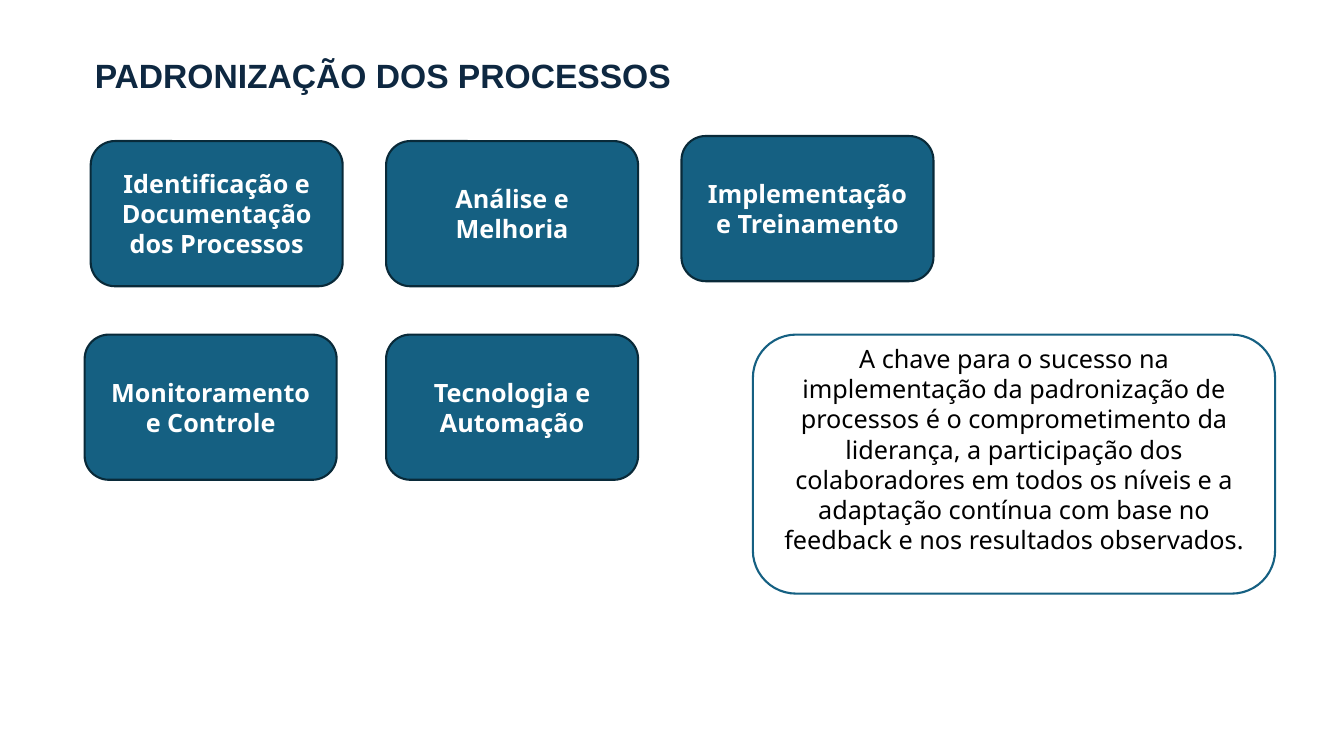
from dataclasses import dataclass

from pptx import Presentation
from pptx.dml.color import RGBColor
from pptx.enum.shapes import MSO_SHAPE
from pptx.enum.text import MSO_ANCHOR, MSO_AUTO_SIZE, PP_ALIGN
from pptx.shapes.autoshape import Shape
from pptx.slide import Slide
from pptx.util import Pt


@dataclass(frozen=True)
class Theme:
    blue: str = "156082"
    edge: str = "092A39"
    navy: str = "0E2841"
    white: str = "FFFFFF"
    black: str = "000000"
    title_font: str = "Arial"
    body_font: str = "Noto Sans"
    title_size: float = 24
    body_size: float = 18
    line_width: float = 1.5


@dataclass(frozen=True)
class Box:
    text: str
    left: float
    top: float
    width: float
    height: float
    fill: str
    line: str
    color: str
    bold: bool
    bottom_inset: float = 3.6


@dataclass(frozen=True)
class Step:
    """A process step on the grid, with its small shift from the grid."""
    text: str
    col: int
    row: int
    dx: float = 0
    dy: float = 0


THEME = Theme()
GRID_LEFT, GRID_TOP = 64.8, 100.8
COL_PITCH, ROW_PITCH = 211, 138.24
STEP_W, STEP_H = 180, 103.7

STEPS = [
    Step("Identificação e Documentação dos Processos", 0, 0),
    Step("Análise e Melhoria", 1, 0),
    Step("Implementação e Treinamento", 2, 0, dy=-3.6),
    Step("Monitoramento e Controle", 0, 1, dx=-4.3),
    Step("Tecnologia e Automação", 1, 1),
]

KEY_MESSAGE = Box(
    "A chave para o sucesso na implementação da padronização de processos é o "
    "comprometimento da liderança, a participação dos colaboradores em todos os "
    "níveis e a adaptação contínua com base no feedback e nos resultados observados.",
    537.8, GRID_TOP + ROW_PITCH, 373, 185,
    THEME.white, THEME.blue, THEME.black, False, bottom_inset=25.2,
)


def step_box(step: Step) -> Box:
    return Box(
        step.text,
        GRID_LEFT + step.col * COL_PITCH + step.dx,
        GRID_TOP + step.row * ROW_PITCH + step.dy,
        STEP_W, STEP_H, THEME.blue, THEME.edge, THEME.white, True,
    )


def set_text(s: Shape, text: str, align: PP_ALIGN, color: str, font: dict) -> None:
    p = s.text_frame.paragraphs[0]
    p.alignment = align
    r = p.add_run()
    r.text = text
    for name, value in font.items():
        setattr(r.font, name, value)
    r.font.color.rgb = RGBColor.from_string(color)


def add_box(slide: Slide, box: Box) -> None:
    s = slide.shapes.add_shape(
        MSO_SHAPE.ROUNDED_RECTANGLE,
        Pt(box.left), Pt(box.top), Pt(box.width), Pt(box.height),
    )
    s.shadow.inherit = False
    s.fill.solid()
    s.fill.fore_color.rgb = RGBColor.from_string(box.fill)
    s.line.color.rgb = RGBColor.from_string(box.line)
    s.line.width = Pt(THEME.line_width)
    frame = {"word_wrap": True, "vertical_anchor": MSO_ANCHOR.MIDDLE,
             "margin_bottom": Pt(box.bottom_inset)}
    for name, value in frame.items():
        setattr(s.text_frame, name, value)
    font = {"name": THEME.body_font, "size": Pt(THEME.body_size), "bold": box.bold}
    set_text(s, box.text, PP_ALIGN.CENTER, box.color, font)


def set_title(slide: Slide, text: str) -> None:
    s = slide.shapes.title
    place = {"left": Pt(60.5), "top": Pt(35.3), "width": Pt(426.2), "height": Pt(36)}
    for name, value in place.items():
        setattr(s, name, value)
    frame = {"word_wrap": True, "vertical_anchor": MSO_ANCHOR.TOP,
             "auto_size": MSO_AUTO_SIZE.SHAPE_TO_FIT_TEXT}
    for name, value in frame.items():
        setattr(s.text_frame, name, value)
    font = {"name": THEME.title_font, "size": Pt(THEME.title_size), "bold": True}
    set_text(s, text, PP_ALIGN.LEFT, THEME.navy, font)


def main() -> None:
    prs = Presentation()
    prs.slide_width, prs.slide_height = Pt(960), Pt(540)
    slide = prs.slides.add_slide(prs.slide_layouts.get_by_name("Title Only"))
    set_title(slide, "PADRONIZAÇÃO DOS PROCESSOS")
    for box in [*map(step_box, STEPS), KEY_MESSAGE]:
        add_box(slide, box)
    prs.save("out.pptx")


if __name__ == "__main__":
    main()
